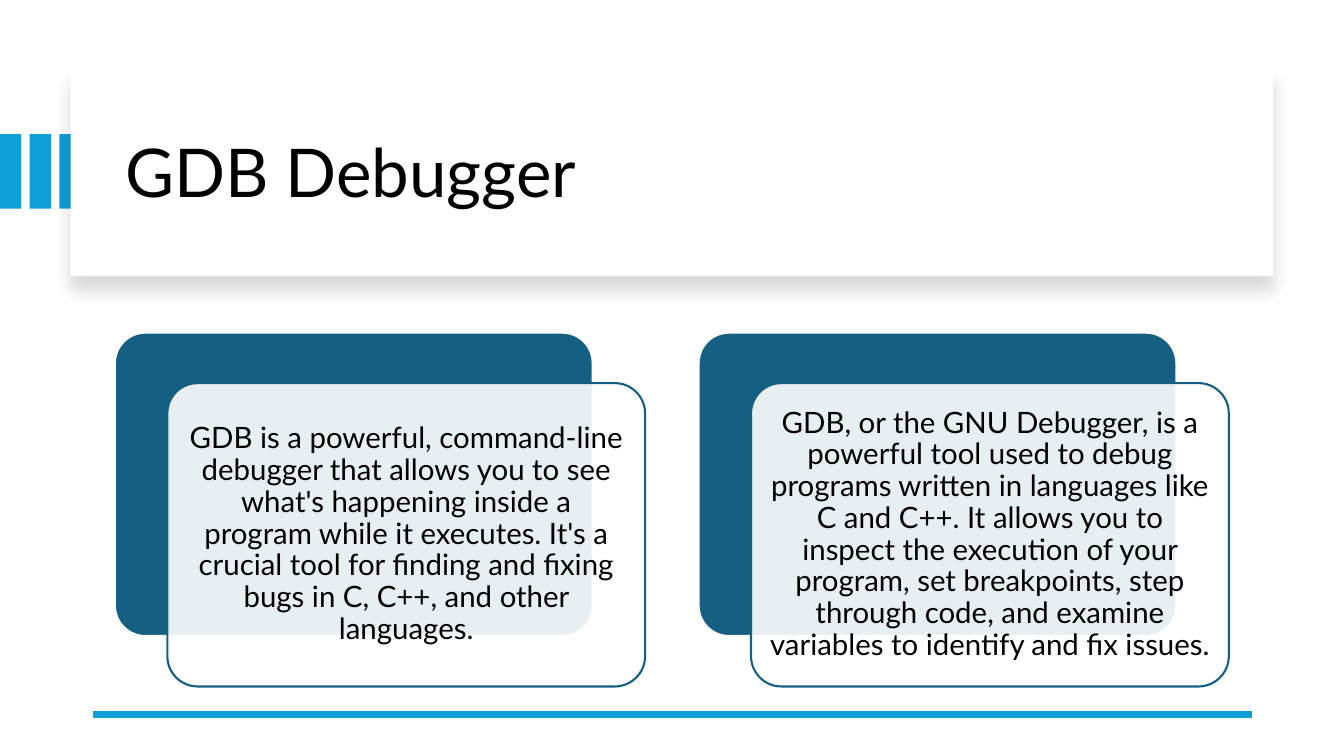
import dataclasses

import lxml.etree
import pptx
import pptx.dml.color
import pptx.enum.shapes
import pptx.enum.text
import pptx.oxml
import pptx.oxml.ns
import pptx.util

SLIDE_WIDTH = pptx.util.Inches(13.33)
SLIDE_HEIGHT = pptx.util.Inches(7.5)
FONT = "Lato"
ACCENT, DEEP_BLUE, WHITE, BLACK = "0F9ED5", "156082", "FFFFFF", "000000"
RECTANGLE = pptx.enum.shapes.MSO_SHAPE.RECTANGLE
ROUNDED = pptx.enum.shapes.MSO_SHAPE.ROUNDED_RECTANGLE


@dataclasses.dataclass(frozen=True)
class Box:
    """A frame in percent of the slide's width and height."""
    left: float
    top: float
    width: float
    height: float

    def moved(self, across: float, down: float) -> "Box":
        return Box(self.left + across, self.top + down, self.width, self.height)

    def inset(self, across: float, down: float) -> "Box":
        return Box(self.left + across, self.top + down,
                   self.width - 2 * across, self.height - 2 * down)

    def frame(self) -> tuple[int, int, int, int]:
        return (share_x(self.left), share_y(self.top),
                share_x(self.width), share_y(self.height))


STRIPE = Box(0, 17.73, 1.58, 9.87)
STRIPE_COUNT, STRIPE_PITCH = 3, 2.21
TITLE_PANEL = Box(5.25, 8.93, 89.47, 27.6)
TITLE = Box(8.55, 11.87, 83.47, 22.67)
CARD = Box(8.55, 44, 35.55, 40.13)
CARD_PITCH = 43.43
CARD_TEXTS = (
    "GDB is a powerful, command-line debugger that allows you to see what's "
    "happening inside a program while it executes. It's a crucial tool for "
    "finding and fixing bugs in C, C++, and other languages.",
    "GDB, or the GNU Debugger, is a powerful tool used to debug programs "
    "written in languages like C and C++. It allows you to inspect the "
    "execution of your program, set breakpoints, step through code, and "
    "examine variables to identify and fix issues.",
)


def share_x(percent: float) -> int:
    return round(SLIDE_WIDTH * percent / 100)


def share_y(percent: float) -> int:
    return round(SLIDE_HEIGHT * percent / 100)


def color(value: str) -> pptx.dml.color.RGBColor:
    return pptx.dml.color.RGBColor.from_string(value)


def add_block(slide, kind, box: Box, fill: str, outline: str = ""):
    block = slide.shapes.add_shape(kind, *box.frame())
    block.shadow.inherit = False
    block.fill.solid()
    block.fill.fore_color.rgb = color(fill)
    if outline:
        block.line.color.rgb = color(outline)
        block.line.width = pptx.util.Pt(1.5)
    else:
        block.line.fill.background()
    if kind == ROUNDED:
        block.adjustments[0] = 0.1
    return block


def set_opacity(block, percent: int) -> None:
    fill_color = block.element.spPr.find(
        "a:solidFill/a:srgbClr", pptx.oxml.ns.nsmap_a
        if hasattr(pptx.oxml.ns, "nsmap_a") else pptx.oxml.ns.namespaces("a"))
    alpha = lxml.etree.SubElement(fill_color, pptx.oxml.ns.qn("a:alpha"))
    alpha.set("val", str(percent * 1000))


def add_drop_shadow(block) -> None:
    effects = block.element.spPr.find(pptx.oxml.ns.qn("a:effectLst"))
    effects.append(pptx.oxml.parse_xml(
        f'<a:outerShdw {pptx.oxml.ns.nsdecls("a")} blurRad="{pptx.util.Pt(11)}" '
        f'dist="{pptx.util.Pt(10)}" dir="5400000" algn="t" rotWithShape="0">'
        f'<a:srgbClr val="{BLACK}"><a:alpha val="15000"/></a:srgbClr>'
        '</a:outerShdw>'))


def write(text_frame, text: str, size: float, alignment):
    text_frame.word_wrap = True
    text_frame.auto_size = pptx.enum.text.MSO_AUTO_SIZE.NONE
    text_frame.vertical_anchor = pptx.enum.text.MSO_ANCHOR.MIDDLE
    text_frame.text = text
    paragraph = text_frame.paragraphs[0]
    paragraph.alignment = alignment
    paragraph.line_spacing = 0.9
    paragraph.font.name = FONT
    paragraph.font.size = pptx.util.Pt(size)
    paragraph.font.color.rgb = color(BLACK)
    return paragraph


def add_header(slide) -> None:
    for index in range(STRIPE_COUNT):
        add_block(slide, RECTANGLE, STRIPE.moved(index * STRIPE_PITCH, 0), ACCENT)
    add_drop_shadow(add_block(slide, RECTANGLE, TITLE_PANEL, WHITE))
    title = slide.shapes.title
    title.left, title.top, title.width, title.height = TITLE.frame()
    write(title.text_frame, "GDB Debugger", 48, pptx.enum.text.PP_ALIGN.LEFT)
    # Bring the title in front of its panel
    title.element.getparent().append(title.element)


def add_base_rule(slide) -> None:
    rule = slide.shapes.add_connector(
        pptx.enum.shapes.MSO_CONNECTOR.STRAIGHT,
        share_x(93.15), share_y(94.53), share_x(6.9), share_y(94.53))
    rule.line.color.rgb = color(ACCENT)
    rule.line.width = pptx.util.Pt(4.5)
    lxml.etree.SubElement(rule.element.spPr, pptx.oxml.ns.qn("a:effectLst"))


def add_card(slide, back: Box, text: str) -> None:
    front = back.moved(3.9, 6.67)
    add_block(slide, ROUNDED, back, DEEP_BLUE, WHITE)
    set_opacity(add_block(slide, ROUNDED, front, WHITE, DEEP_BLUE), 90)
    caption = slide.shapes.add_textbox(*front.inset(0.68, 1.2).frame()).text_frame
    caption.margin_left = caption.margin_right = pptx.util.Inches(0.09)
    caption.margin_top = caption.margin_bottom = pptx.util.Inches(0.09)
    paragraph = write(caption, text, 21, pptx.enum.text.PP_ALIGN.CENTER)
    paragraph.space_after = pptx.util.Pt(7.35)


def main() -> None:
    deck = pptx.Presentation()
    deck.slide_width, deck.slide_height = SLIDE_WIDTH, SLIDE_HEIGHT
    slide = deck.slides.add_slide(deck.slide_layouts.get_by_name("Title Only"))

    # Title with stripes and raised panel
    add_header(slide)
    add_base_rule(slide)

    # Two layered cards
    for index, text in enumerate(CARD_TEXTS):
        add_card(slide, CARD.moved(index * CARD_PITCH, 0), text)

    deck.save("out.pptx")


if __name__ == "__main__":
    main()
